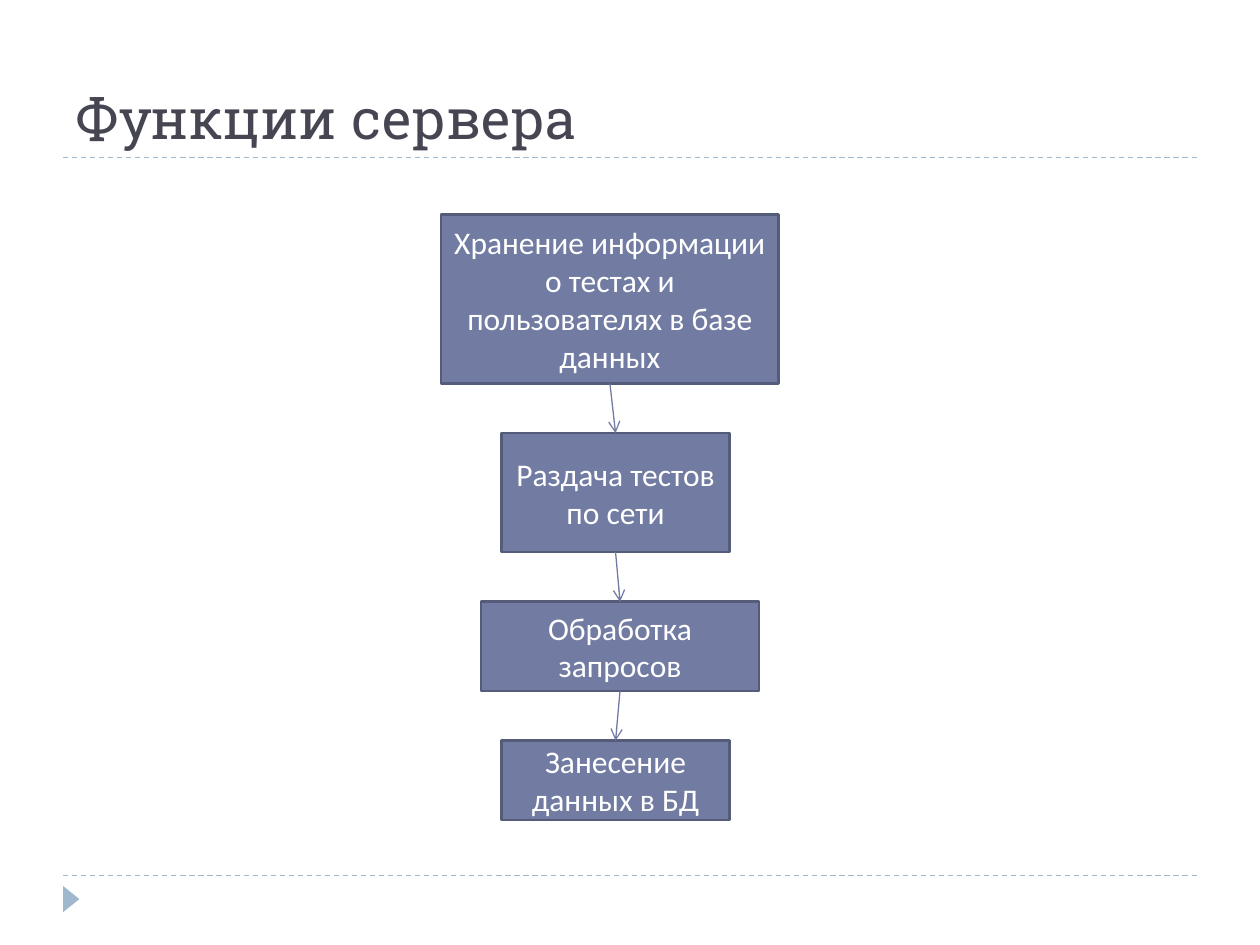
"""Build the slide with the server functions flowchart."""
from lxml.etree import SubElement
from pptx import Presentation
from pptx.dml.color import RGBColor
from pptx.enum.dml import MSO_LINE
from pptx.enum.shapes import MSO_CONNECTOR, MSO_SHAPE
from pptx.enum.text import MSO_ANCHOR, PP_ALIGN
from pptx.oxml.ns import qn
from pptx.util import Cm, Pt


def rgb(value):
    return RGBColor.from_string(value)


def add_line(x1, y1, x2, y2, color):
    line = s.shapes.add_connector(MSO_CONNECTOR.STRAIGHT, x1, y1, x2, y2)
    line.line.color.rgb = rgb(color)
    line.line.width = Pt(0.75)
    SubElement(line._element.spPr, qn("a:effectLst"))
    return line


prs = Presentation()
prs.slide_width, prs.slide_height = Cm(25.4), Cm(19.05)
s = prs.slides.add_slide(prs.slide_layouts[6])

for y in (17.65, 3.18):
    rule = add_line(Cm(1.27), Cm(y), Cm(24.13), Cm(y), "9FB8CD")
    rule.line.dash_style = MSO_LINE.DASH

marker = s.shapes.add_shape(MSO_SHAPE.ISOSCELES_TRIANGLE,
                            Cm(1.17), Cm(17.96), Cm(0.53), Cm(0.33))
marker.rotation = 90
marker.shadow.inherit = False
marker.fill.solid()
marker.fill.fore_color.rgb = rgb("9FB8CD")
marker.line.fill.background()

title = s.shapes.add_textbox(Cm(1.27), Cm(0.43), Cm(22.86), Cm(2.74))
tf = title.text_frame
tf.word_wrap = True
tf.vertical_anchor = MSO_ANCHOR.BOTTOM
p = tf.paragraphs[0]
p.text = "Функции сервера"
p.font.name = "Roboto Slab"
p.font.size = Pt(32)
p.font.color.rgb = rgb("464653")

steps = [
    ("Хранение информации о тестах и пользователях в базе данных", 8.89, 6.81, 3.41),
    ("Раздача тестов по сети", 10.11, 4.6, 2.4),
    ("Обработка запросов", 9.7, 5.6, 1.8),
    ("Занесение данных в БД", 10.11, 4.6, 1.6),
]
gap = 1
top = 4.32
previous = None
for text, left, width, height in steps:
    box = s.shapes.add_shape(MSO_SHAPE.FLOWCHART_PROCESS,
                             Cm(left), Cm(top), Cm(width), Cm(height))
    box.shadow.inherit = False
    box.fill.solid()
    box.fill.fore_color.rgb = rgb("727CA3")
    box.line.color.rgb = rgb("545C79")
    box.line.width = Pt(1.5)
    tf = box.text_frame
    tf.word_wrap = True
    tf.vertical_anchor = MSO_ANCHOR.MIDDLE
    p = tf.paragraphs[0]
    p.text = text
    p.alignment = PP_ALIGN.CENTER
    p.font.name = "Calibri"
    p.font.size = Pt(18)
    p.font.color.rgb = rgb("FFFFFF")
    if previous:
        arrow = add_line(0, 0, 0, 0, "727CA3")
        arrow.begin_connect(previous, 2)
        arrow.end_connect(box, 0)
        SubElement(arrow.line._get_or_add_ln(), qn("a:tailEnd"), type="arrow")
    previous = box
    top += height + gap

prs.save("out.pptx")
